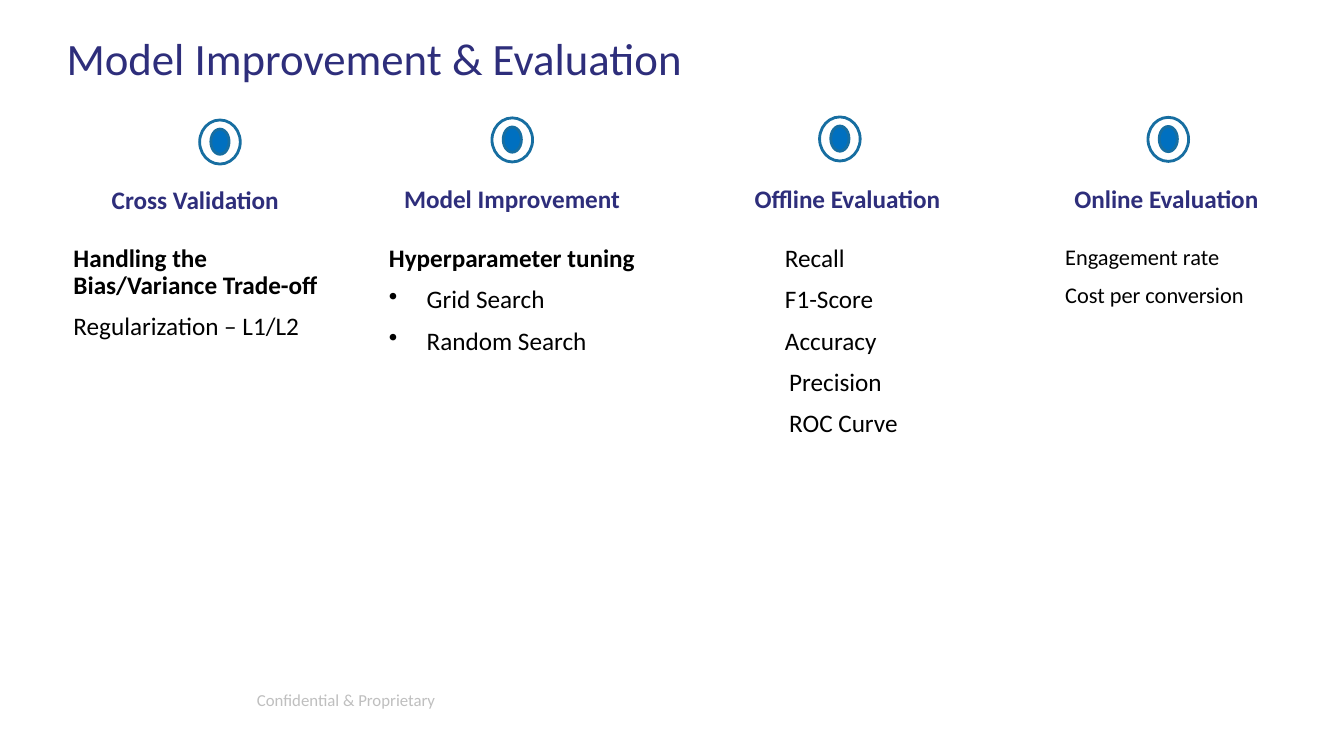
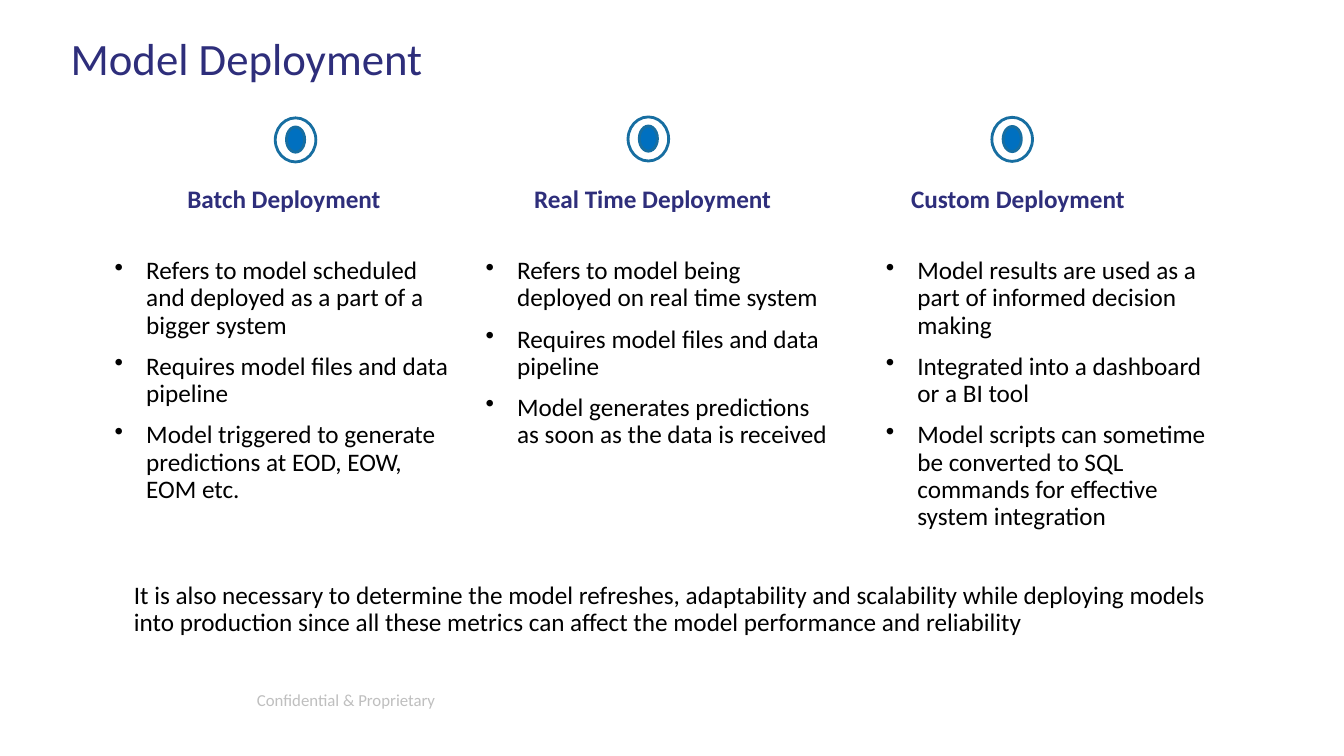
from pptx import Presentation
from pptx.dml.color import RGBColor
from pptx.enum.shapes import MSO_SHAPE
from pptx.enum.text import MSO_ANCHOR
from pptx.oxml.xmlchemy import OxmlElement
from pptx.util import Pt

FONT = "Calibri"
COLORS = {
    "navy": "2E2E7B",
    "text": "000000",
    "foot": "BFBFBF",
    "ring": "176EA1",
    "core": "0070C0",
    "white": "FFFFFF",
}


def color(name):
    return RGBColor.from_string(COLORS[name])


def bullet(para):
    mark = OxmlElement("a:buChar")
    mark.set("char", "•")
    para._p.get_or_add_pPr().append(mark)


def indent(para, left, first=0):
    props = para._p.get_or_add_pPr()
    props.set("marL", str(Pt(left)))
    props.set("indent", str(Pt(first)))


def text(slide, items, x, y, w, h, size=18, tone="text", bold=False,
         line=None, before=0, hang=0, left=0, inset=None, middle=False):
    """Add a text box; an item is a string or (string, own format)."""
    frame = slide.shapes.add_textbox(Pt(x), Pt(y), Pt(w), Pt(h)).text_frame
    frame.word_wrap = True
    frame.vertical_anchor = MSO_ANCHOR.MIDDLE if middle else MSO_ANCHOR.TOP
    if inset is not None:
        frame.margin_left = frame.margin_right = Pt(inset)
        frame.margin_top = frame.margin_bottom = Pt(inset)
    for i, item in enumerate(items):
        words, own = (item, {}) if isinstance(item, str) else item
        para = frame.add_paragraph() if i else frame.paragraphs[0]
        para.space_before = Pt(before)
        if line:
            para.line_spacing = line
        step = own.get("hang", hang)
        pad = own.get("left", left)
        if step:
            indent(para, step, -step)
            bullet(para)
        elif pad:
            indent(para, pad)
        run = para.add_run()
        run.text = words
        run.font.name = FONT
        run.font.size = Pt(size)
        run.font.bold = own.get("bold", bold)
        run.font.color.rgb = color(tone)


def oval(slide, x, y, w, h, fill):
    shape = slide.shapes.add_shape(MSO_SHAPE.OVAL, Pt(x), Pt(y), Pt(w), Pt(h))
    shape.shadow.inherit = False
    shape.fill.solid()
    shape.fill.fore_color.rgb = color(fill)
    shape.line.color.rgb = color("ring")
    shape.line.width = Pt(2)


def target(slide, x, y):
    oval(slide, x, y, 29, 31.5, "white")
    oval(slide, x + 8, y + 6.5, 13, 18, "core")


def body(slide, items, x, y, w, h, **form):
    text(slide, items, x, y, w, h, line=0.9, before=10, **form)


def column(slide, name, head, dot, box, items, **form):
    """Place a target, a heading and the points below it."""
    target(slide, *dot)
    text(slide, [name], *head, 29, tone="navy", bold=True)
    body(slide, items, *box, **form)


def base(deck, title, x):
    """Start a slide with the shared footer and title."""
    slide = deck.slides.add_slide(deck.slide_layouts[6])
    text(slide, ["Confidential & Proprietary"], 176.4, 485.3, 324, 29,
         size=12, tone="foot", middle=True)
    text(slide, [title], x, 26.6, 865, 52.6, size=32, tone="navy",
         line=0.9, inset=0)
    return slide


def improve(deck):
    slide = base(deck, "Model Improvement & Evaluation", 47.5)
    top = 172
    column(slide, "Cross Validation", (72.7, 128.2, 170), (142.6, 85.7),
           (45.4, top, 190, 200),
           [("Handling the Bias/Variance Trade-off", {"bold": True}),
            "Regularization – L1/L2"])
    column(slide, "Model Improvement", (281.5, 127.4, 170), (351.4, 84.2),
           (270.7, top, 190, 98),
           [("Hyperparameter tuning", {"bold": True, "hang": 0}),
            "Grid Search", "Random Search"], hang=27)
    column(slide, "Offline Evaluation", (532, 127.4, 149), (585.4, 83.5),
           (484.6, top, 252.7, 325),
           ["Recall", "F1-Score", "Accuracy",
            ("Precision", {"left": 72}), ("ROC Curve", {"left": 72})],
           left=69)
    column(slide, "Online Evaluation", (760.3, 127.4, 149), (820, 83.8),
           (753.8, top, 190, 242),
           ["Engagement rate", "Cost per conversion"], size=16)


def deploy(deck):
    slide = base(deck, "Model Deployment", 50.4)
    columns = [
        ("Batch Deployment", (126.7, 170), (196.6, 84.2), 74.9,
         ["Refers to model scheduled and deployed as a part of a bigger system",
          "Requires model files and data pipeline",
          "Model triggered to generate predictions at EOD, EOW, EOM etc."]),
        ("Real Time Deployment", (374.4, 191), (448.6, 83.5), 339.8,
         ["Refers to model being deployed on real time system",
          "Requires model files and data pipeline",
          "Model generates predictions as soon as the data is received"]),
        ("Custom Deployment", (643.7, 168.5), (708.5, 83.8), 625.7,
         ["Model results are used as a part of informed decision making",
          "Integrated into a dashboard or a BI tool",
          "Model scripts can sometime be converted to SQL commands "
          "for effective system integration"]),
    ]
    for name, (x, w), dot, left, items in columns:
        column(slide, name, (x, 127.4, w), dot, (left, 180.7, 259.2, 162),
               items, hang=22.5)
    # Closing remark
    body(slide,
         ["It is also necessary to determine the model refreshes, "
          "adaptability and scalability while deploying models into "
          "production since all these metrics can affect the model "
          "performance and reliability"], 88.6, 412.6, 797, 84)


def main():
    deck = Presentation()
    deck.slide_width, deck.slide_height = Pt(960), Pt(540)
    improve(deck)
    deploy(deck)
    deck.save("out.pptx")


if __name__ == "__main__":
    main()
